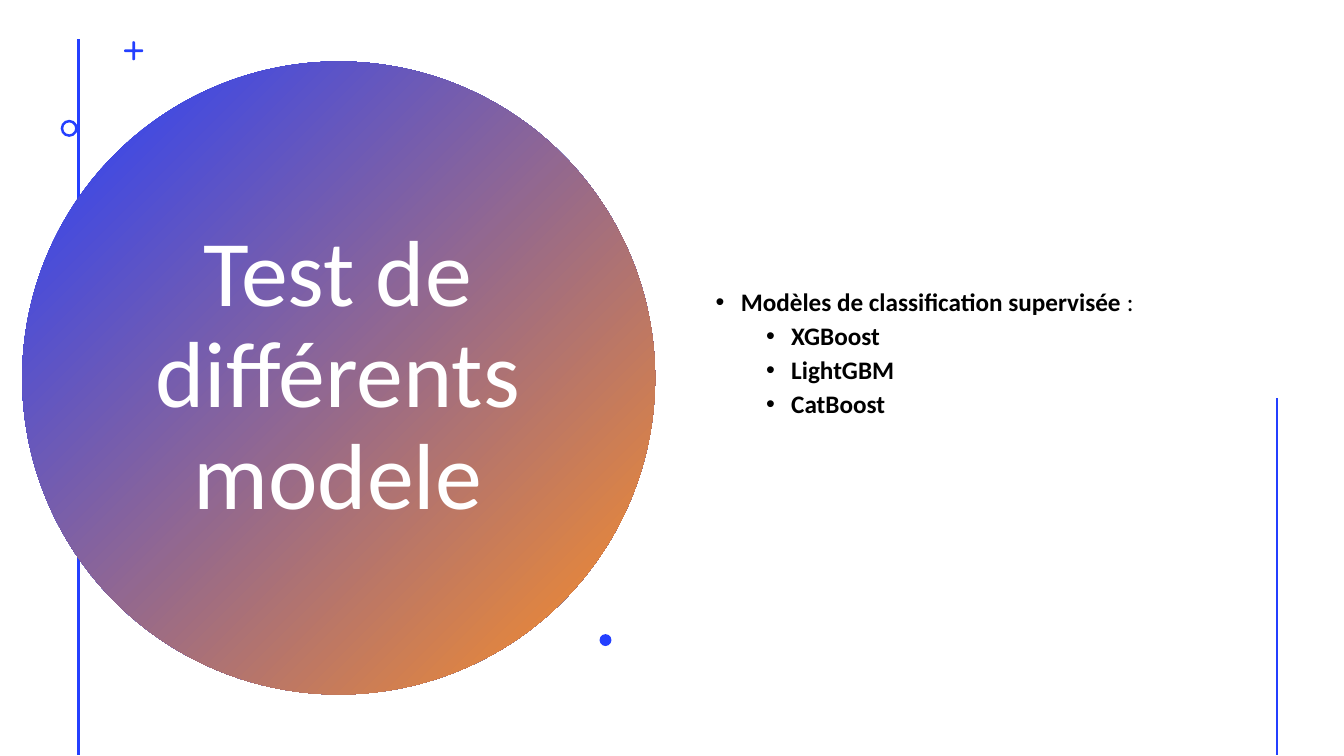
from dataclasses import dataclass
from math import cos, pi, sin

from lxml import etree
from pptx import Presentation
from pptx import util as u
from pptx.dml.color import RGBColor
from pptx.enum import shapes, text
from pptx.oxml import ns


@dataclass(frozen=True)
class Theme:
    blue: RGBColor = RGBColor(0x24, 0x3F, 0xFF)
    orange: RGBColor = RGBColor(0xFF, 0x90, 0x22)
    white: RGBColor = RGBColor(0xFF, 0xFF, 0xFF)
    black: RGBColor = RGBColor(0, 0, 0)
    font: str = "Calibri"
    title: u.Pt = u.Pt(67)
    body: u.Pt = u.Pt(18)
    line: u.Pt = u.Pt(2)


theme = Theme()
prs = Presentation()
prs.slide_width, prs.slide_height = u.Cm(33.87), u.Cm(19.05)
s = prs.slides.add_slide(prs.slide_layouts[1])
title, body = s.shapes.title, s.placeholders[1]


def place(sp, left, top, width, height):
    """Move a placeholder to the front and set its frame in centimetres."""
    s.shapes.element.append(sp.element)
    sp.left, sp.top, sp.width, sp.height = map(u.Cm, (left, top, width, height))
    tf = sp.text_frame
    tf.word_wrap = True
    tf.auto_size = text.MSO_AUTO_SIZE.NONE
    tf.vertical_anchor = text.MSO_ANCHOR.MIDDLE
    return tf


def add_vertical(x, top):
    """Draw a blue rule from top down to the foot of the slide."""
    rule = s.shapes.add_connector(shapes.MSO_CONNECTOR.STRAIGHT,
                                  u.Cm(x), u.Cm(top), u.Cm(x), u.Cm(19.02))
    rule.line.color.rgb = theme.blue
    rule.line.width = theme.line
    etree.SubElement(rule.element.spPr, ns.qn("a:effectLst"))


# Left rule and gradient circle
add_vertical(1.98, 0.99)
circle = s.shapes.add_shape(shapes.MSO_SHAPE.OVAL, u.Cm(0.56), u.Cm(1.55), u.Cm(15.95), u.Cm(15.95))
circle.shadow.inherit = False
circle.line.fill.background()
circle.fill.gradient()
circle.fill.gradient_angle = 315
for stop, color in zip(circle.fill.gradient_stops, (theme.blue, theme.orange)):
    stop.color.rgb = color

# Title
tf = place(title, 3.45, 3.58, 10.13, 11.86)
p = tf.paragraphs[0]
p.alignment = text.PP_ALIGN.CENTER
p.line_spacing = 0.9
r = p.add_run()
r.text = "Test de différents modele"
r.font.name, r.font.size, r.font.color.rgb = theme.font, theme.title, theme.white

# Plus sign: four arms with round ends
cx, cy, reach, half = 3.37, 1.28, 0.24, 0.035
points = []
for arm in range(4):
    turn = arm * pi / 2
    for step in range(9):
        a = -pi / 2 + step * pi / 8
        along, across = reach - half + half * cos(a), half * sin(a)
        points.append((u.Cm(cx + along * cos(turn) - across * sin(turn)),
                       u.Cm(cy + along * sin(turn) + across * cos(turn))))
    points.append((u.Cm(cx + half * (cos(turn) - sin(turn))),
                   u.Cm(cy + half * (sin(turn) + cos(turn)))))
builder = s.shapes.build_freeform(*points[0])
builder.add_line_segments(points[1:])
plus = builder.convert_to_shape()

# Ring and dot
ring = s.shapes.add_shape(shapes.MSO_SHAPE.DONUT, u.Cm(1.53), u.Cm(3.02), u.Cm(0.43), u.Cm(0.43))
ring.adjustments[0] = 0.15
dot = s.shapes.add_shape(shapes.MSO_SHAPE.OVAL, u.Cm(15.11), u.Cm(15.98), u.Cm(0.3), u.Cm(0.3))
for sp in (plus, ring, dot):
    sp.shadow.inherit = False
    sp.fill.solid()
    sp.fill.fore_color.rgb = theme.blue
    sp.line.fill.background()

# Model list, set slightly above the middle
tf = place(body, 17.78, 1.07, 13, 16.59)
tf.margin_bottom = u.Cm(1)
levels = [{"space_before": u.Pt(10), "line_spacing": 0.9, "level": 0},
          {"space_before": u.Pt(5), "line_spacing": 0.9, "level": 1}]
items = [(0, [("Modèles de classification supervisée", True), (" :", False)]),
         (1, [("XGBoost", True)]),
         (1, [("LightGBM", True)]),
         (1, [("CatBoost", True)])]
for i, (level, runs) in enumerate(items):
    p = tf.add_paragraph() if i else tf.paragraphs[0]
    for name, value in levels[level].items():
        setattr(p, name, value)
    pPr = p._p.get_or_add_pPr()
    pPr.set("marL", str(u.Cm(0.635 + 1.27 * level)))
    pPr.set("indent", str(-u.Cm(0.635)))
    etree.SubElement(pPr, ns.qn("a:buFont"), typeface="Arial")
    etree.SubElement(pPr, ns.qn("a:buChar"), char="•")
    for words, bold in runs:
        r = p.add_run()
        r.text = words
        r.font.color.rgb = theme.black
        for name, value in {"name": theme.font, "size": theme.body, "bold": bold}.items():
            setattr(r.font, name, value)

# Right rule
add_vertical(32.18, 10.03)

prs.save("out.pptx")
